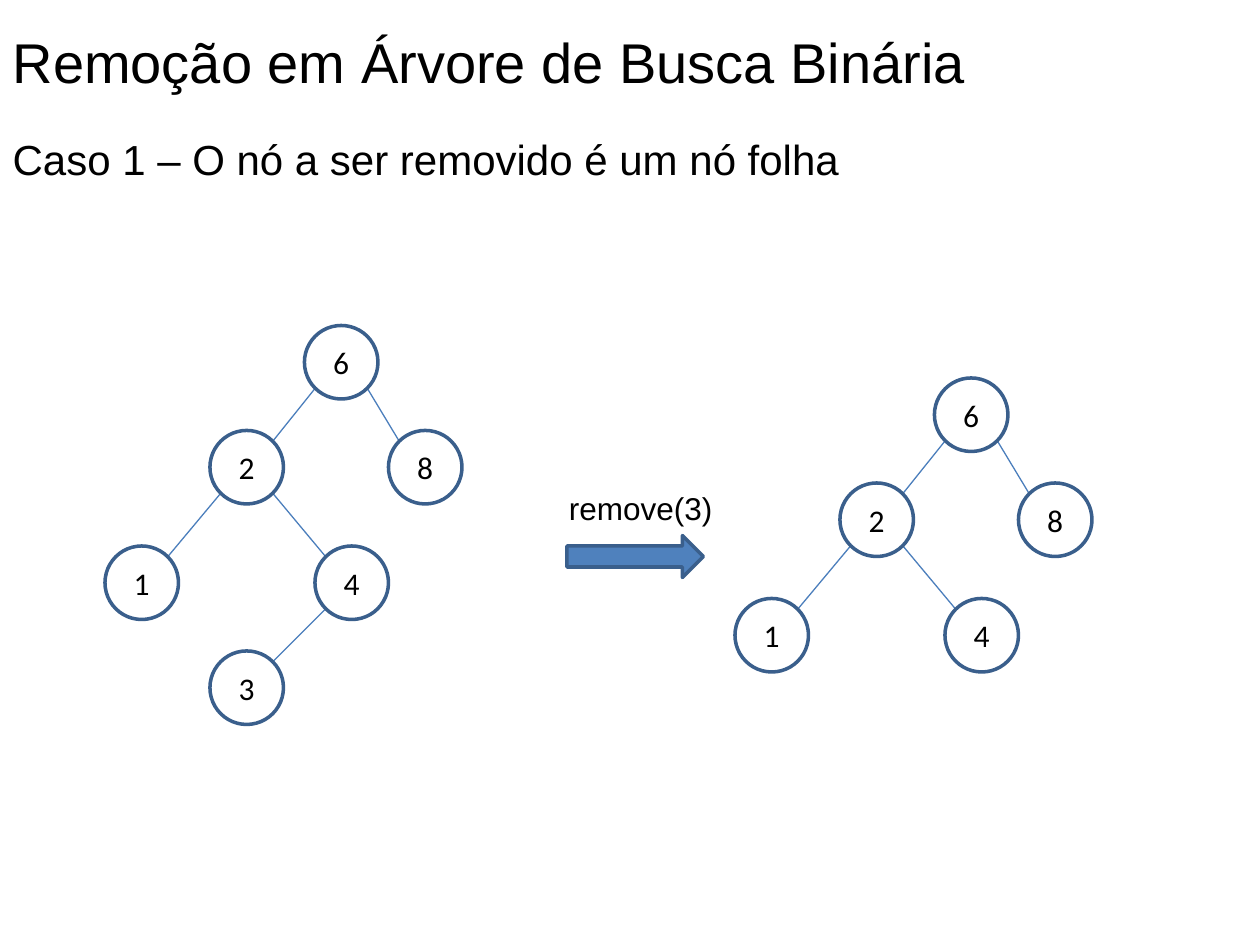
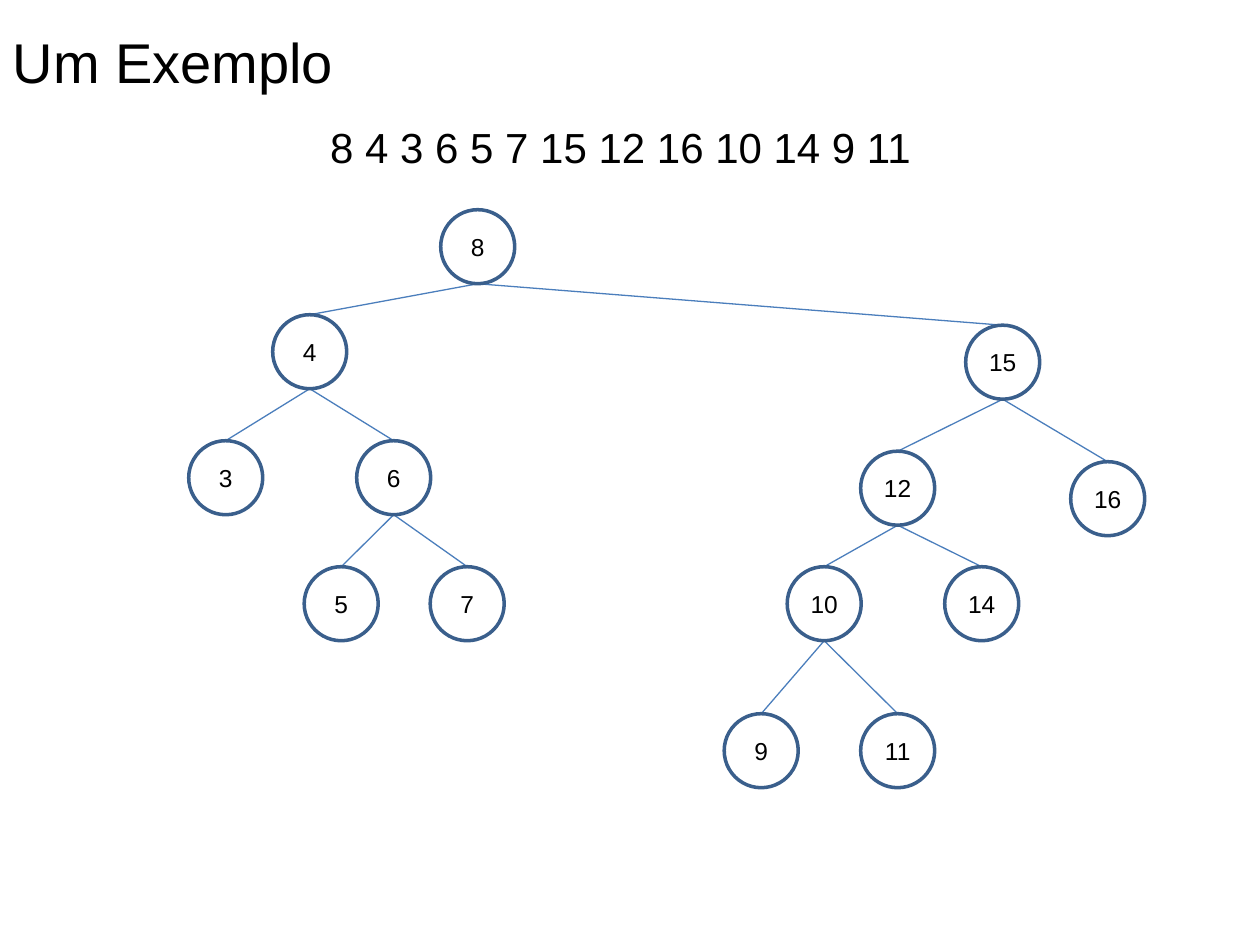
from dataclasses import dataclass
from math import sqrt

from lxml.etree import SubElement
from pptx import Presentation
from pptx.dml.color import RGBColor
from pptx.enum.shapes import MSO_CONNECTOR as Connector, MSO_SHAPE as Shape
from pptx.enum.text import MSO_ANCHOR as Anchor, MSO_AUTO_SIZE as AutoSize, PP_ALIGN as Align
from pptx.oxml.ns import qn
from pptx.util import Inches, Pt


@dataclass(frozen=True)
class Theme:
    """Colours, fonts and sizes shared by the slides."""
    ink: RGBColor = RGBColor.from_string("000000")
    accent: RGBColor = RGBColor.from_string("4F81BD")
    outline: RGBColor = RGBColor.from_string("3A5F8C")
    edge: RGBColor = RGBColor.from_string("4B7EBC")
    font: str = "Arial"
    node_font: str = "Calibri"
    title_size: int = 32
    subtitle_size: int = 24
    label_size: int = 18
    small_size: int = 14
    outline_width: float = 2
    edge_width: float = 0.75


@dataclass(frozen=True)
class TreeStyle:
    """Node diameter, lettering and edge attachment of a tree."""
    diameter: float
    font: str
    size: int
    reach_x: float
    reach_y: float


THEME = Theme()
SLIDE_WIDTH, SLIDE_HEIGHT = Inches(10), Inches(7.5)
COLUMNS = 120
CELL = SLIDE_WIDTH / COLUMNS
NODE_SPAN = 7
DIAGONAL = TreeStyle(7, THEME.node_font, THEME.label_size, sqrt(0.5), sqrt(0.5))
VERTICAL = TreeStyle(7.05, THEME.font, THEME.small_size, 0, 1)

CASE_NODES = {6: (29, 31), 8: (37, 41), 2: (20, 41), 4: (30, 52), 3: (20, 62), 1: (10, 52)}
CASE_EDGES = {6: (2, 8), 2: (1, 4), 4: (3,)}
REMOVED = 3
EXAMPLE_NODES = {
    8: (42, 20), 4: (26, 30), 3: (18, 42), 6: (34, 42), 5: (29, 54), 7: (41, 54),
    15: (92, 31), 12: (82, 43), 16: (102, 44), 10: (75, 54), 14: (90, 54),
    9: (69, 68), 11: (82, 68),
}
EXAMPLE_EDGES = {8: (4, 15), 4: (3, 6), 6: (5, 7), 15: (12, 16), 12: (10, 14), 10: (9, 11)}


def cells(*lengths):
    """Turn grid lengths into slide units."""
    return [round(length * CELL) for length in lengths]


def write(frame, text, size, font=THEME.font, align=Align.LEFT):
    """Set one formatted paragraph in a text frame."""
    frame.text = text
    paragraph = frame.paragraphs[0]
    paragraph.alignment = align
    paragraph.space_before = Pt(0)
    lettering = paragraph.runs[0].font
    lettering.name, lettering.size = font, Pt(size)
    lettering.color.rgb = THEME.ink
    return paragraph


def place(placeholder, box):
    """Move a placeholder to a grid box and anchor its text at the top."""
    placeholder.left, placeholder.top, placeholder.width, placeholder.height = cells(*box)
    frame = placeholder.text_frame
    frame.vertical_anchor = Anchor.TOP
    frame.auto_size = AutoSize.SHAPE_TO_FIT_TEXT
    return frame


def add_headed_slide(deck, title, title_width, subtitle, subtitle_box, align=Align.LEFT):
    """Add a slide with its title and the line below it."""
    slide = deck.slides.add_slide(deck.slide_layouts[1])
    heading = place(slide.shapes.title, (0, 2, title_width, 7.7))
    heading.word_wrap = False
    write(heading, title, THEME.title_size)
    body = place(slide.placeholders[1], subtitle_box)
    line = write(body, subtitle, THEME.subtitle_size, align=align)
    properties = line._p.get_or_add_pPr()
    properties.set("marL", "0")
    properties.set("indent", "0")
    SubElement(properties, qn("a:buNone"))
    return slide


def outline(shape):
    """Give a shape the common outline without a shadow."""
    shape.shadow.inherit = False
    shape.line.color.rgb = THEME.outline
    shape.line.width = Pt(THEME.outline_width)


def add_edge(shapes, parent, child, style):
    """Join the lower side of a parent to the upper side of its child."""
    radius = style.diameter / 2
    side = 1 if child[0] > parent[0] else -1
    across, down = side * radius * style.reach_x, radius * style.reach_y
    ends = cells(parent[0] + across, parent[1] + down, child[0] - across, child[1] - down)
    edge = shapes.add_connector(Connector.STRAIGHT, *ends)
    edge.line.color.rgb = THEME.edge
    edge.line.width = Pt(THEME.edge_width)
    SubElement(edge._element.spPr, qn("a:effectLst"))


def add_node(shapes, key, centre, style):
    """Draw a circle that holds a key."""
    radius = style.diameter / 2
    box = cells(centre[0] - radius, centre[1] - radius, style.diameter, style.diameter)
    node = shapes.add_shape(Shape.OVAL, *box)
    node.fill.background()
    outline(node)
    frame = node.text_frame
    frame.margin_left = frame.margin_right = frame.margin_top = frame.margin_bottom = 0
    frame.vertical_anchor = Anchor.MIDDLE
    write(frame, str(key), style.size, style.font, Align.CENTER)


def add_tree(slide, nodes, edges, style, shift=(0, 0)):
    """Draw a grouped binary tree from node cells and child lists."""
    shapes = slide.shapes.add_group_shape().shapes
    centres = {
        key: (column + shift[0] + NODE_SPAN / 2, row + shift[1] + NODE_SPAN / 2)
        for key, (column, row) in nodes.items()
    }
    for parent, children in edges.items():
        for child in children:
            add_edge(shapes, centres[parent], centres[child], style)
    for key, centre in centres.items():
        add_node(shapes, key, centre, style)


def add_operation(slide, text):
    """Draw the arrow between two trees with its label."""
    shapes = slide.shapes.add_group_shape().shapes
    label = shapes.add_textbox(*cells(53, 46, 16.2, 4.8)).text_frame
    label.word_wrap = False
    write(label, text, THEME.label_size)
    arrow = shapes.add_shape(Shape.RIGHT_ARROW, *cells(54, 51, 13, 4))
    arrow.fill.solid()
    arrow.fill.fore_color.rgb = THEME.accent
    outline(arrow)


def build_leaf_case(deck):
    """Show the removal of a leaf, before and after."""
    slide = add_headed_slide(
        deck, "Remoção em Árvore de Busca Binária", 93.8,
        "Caso 1 – O nó a ser removido é um nó folha", (0, 12.1, 118, 6.1))
    add_tree(slide, CASE_NODES, CASE_EDGES, DIAGONAL)
    kept = {key: cell for key, cell in CASE_NODES.items() if key != REMOVED}
    links = {
        parent: [child for child in children if child != REMOVED]
        for parent, children in CASE_EDGES.items()
    }
    add_tree(slide, kept, links, DIAGONAL, shift=(60, 5))
    add_operation(slide, f"remove({REMOVED})")


def build_example(deck):
    """Show the tree that a sequence of insertions gives."""
    slide = add_headed_slide(
        deck, "Um Exemplo", 33.2,
        "8 4 3 6 5 7 15 12 16 10 14 9 11", (25.8, 11, 66.6, 6), Align.CENTER)
    add_tree(slide, EXAMPLE_NODES, EXAMPLE_EDGES, VERTICAL)


def main():
    """Build and save the deck."""
    deck = Presentation()
    deck.slide_width, deck.slide_height = SLIDE_WIDTH, SLIDE_HEIGHT
    build_leaf_case(deck)
    build_example(deck)
    deck.save("out.pptx")


main()
